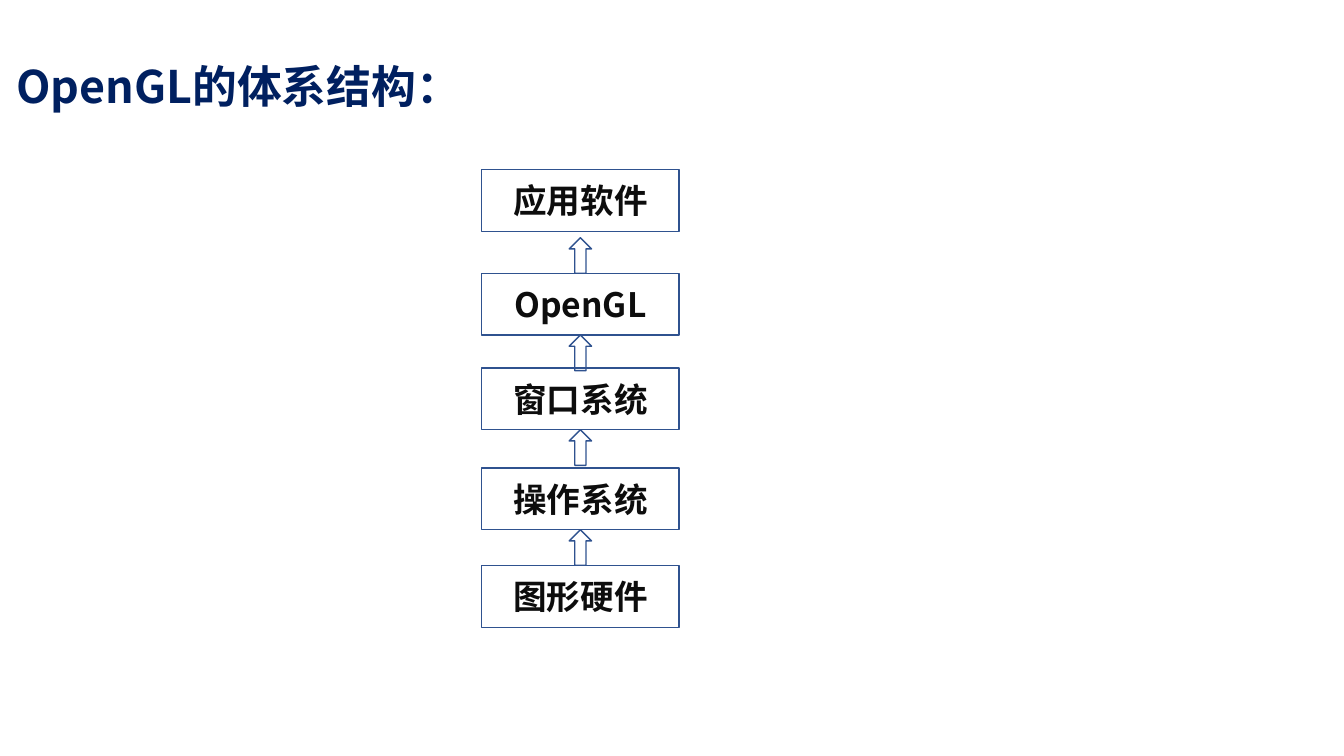
import pptx
import pptx.util
import pptx.dml.color
import pptx.enum.shapes
import pptx.enum.text
import pptx.oxml
import pptx.oxml.ns
import lxml.etree

Pt = pptx.util.Pt
RGBColor = pptx.dml.color.RGBColor
SHAPES = pptx.enum.shapes.MSO_SHAPE

THEME = {
    "font": "Noto Sans CJK SC",
    "title": {"size": Pt(32), "color": RGBColor.from_string("002060")},
    "layer": {"size": Pt(24), "color": RGBColor.from_string("0D0D0D")},
    "outline": RGBColor.from_string("2F528F"),
    "outline_width": Pt(1),
}


def write_text(shape, text, style):
    """Put one bold run in the shape, with the same font for Latin and Chinese."""
    run = shape.text_frame.paragraphs[0].add_run()
    run.text = text
    settings = {"name": THEME["font"], "size": style["size"], "bold": True}
    for attribute, value in settings.items():
        setattr(run.font, attribute, value)
    run.font.color.rgb = style["color"]
    east_asian = lxml.etree.SubElement(
        run.font._element, pptx.oxml.ns.qn("a:ea"))
    east_asian.set("typeface", THEME["font"])


def add_outlined(slide, kind, left, top, width, height):
    shape = slide.shapes.add_shape(kind, Pt(left), Pt(top), Pt(width), Pt(height))
    shape.shadow.inherit = False
    shape.fill.background()
    shape.line.color.rgb = THEME["outline"]
    shape.line.width = THEME["outline_width"]
    return shape


presentation = pptx.Presentation()
presentation.slide_width = Pt(960.5)
presentation.slide_height = Pt(540)
slide = presentation.slides.add_slide(presentation.slide_layouts[6])

title = slide.shapes.add_textbox(Pt(4.5), Pt(38.2), Pt(341), Pt(46))
title.text_frame.word_wrap = False
title.text_frame.auto_size = pptx.enum.text.MSO_AUTO_SIZE.SHAPE_TO_FIT_TEXT
write_text(title, "OpenGL的体系结构：", THEME["title"])

# Layers from top to bottom, each with its top edge
layers = [
    ("应用软件", 121),
    ("OpenGL", 195.2),
    ("窗口系统", 262.8),
    ("操作系统", 334.2),
    ("图形硬件", 404),
]
box_left, box_width, box_height = 344.2, 141.2, 44.2
for name, top in layers:
    box = add_outlined(slide, SHAPES.RECTANGLE, box_left, top, box_width, box_height)
    box.text_frame.word_wrap = True
    box.text_frame.vertical_anchor = pptx.enum.text.MSO_ANCHOR.MIDDLE
    box.text_frame.paragraphs[0].alignment = pptx.enum.text.PP_ALIGN.CENTER
    write_text(box, name, THEME["layer"])

# The first arrow stands on OpenGL; the others touch the layer they point to
arrow_width, arrow_height = 16, 25.4
arrow_left = box_left + (box_width - arrow_width) / 2
arrow_tops = [layers[1][1] - arrow_height]
arrow_tops += [top + box_height for name, top in layers[1:-1]]
for top in arrow_tops:
    add_outlined(slide, SHAPES.UP_ARROW, arrow_left, top, arrow_width, arrow_height)

presentation.save("out.pptx")
